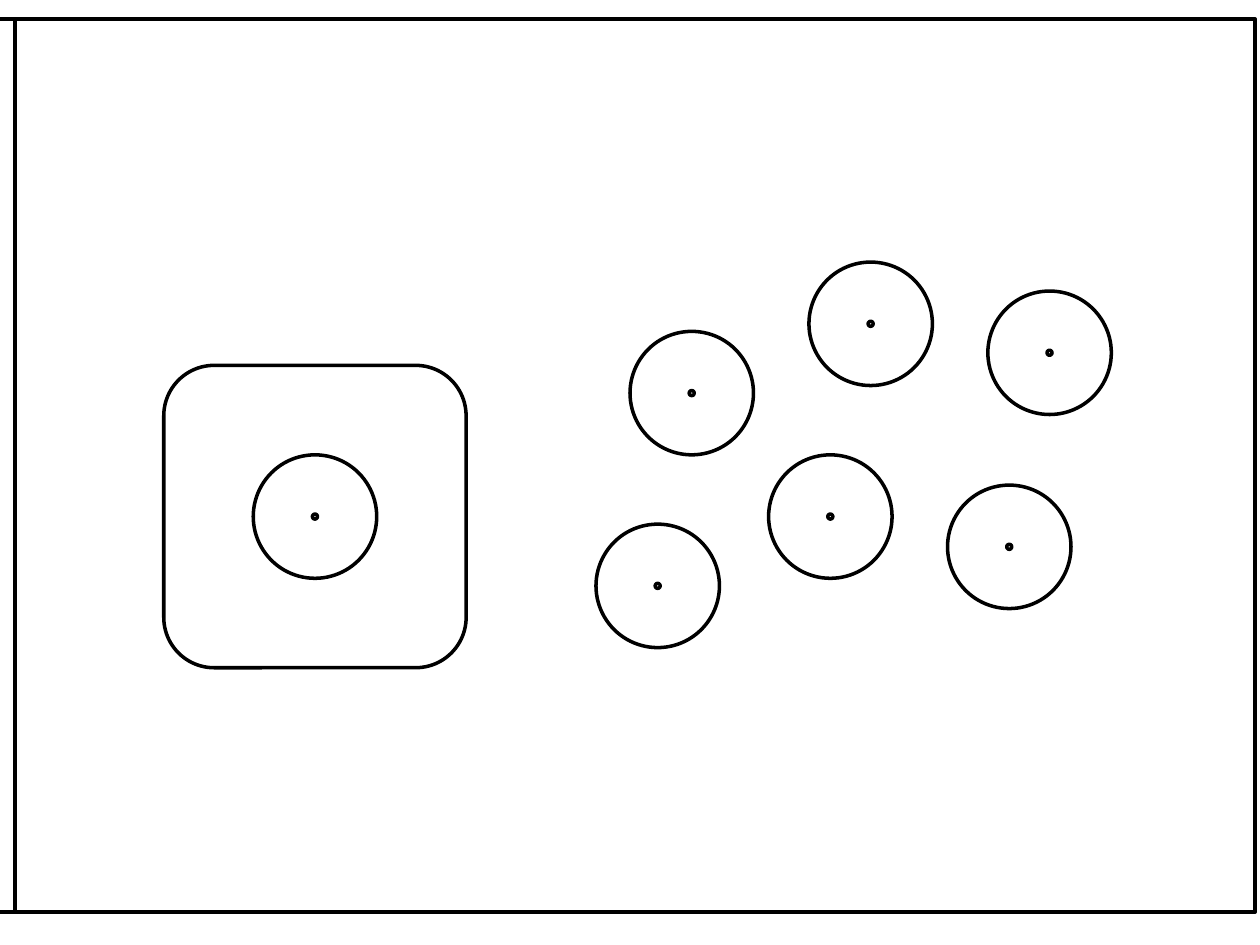
from pptx import Presentation
from pptx.dml.color import RGBColor
from pptx.enum.shapes import MSO_SHAPE as Shape
from pptx.util import Inches, Pt

BLACK = RGBColor(0x00, 0x00, 0x00)
WHITE = RGBColor(0xFF, 0xFF, 0xFF)

PANEL_LEFT, PANEL_TOP = 0.12, 0.15
PANEL_WIDTH, PANEL_HEIGHT = 9.84, 7.09
DISC_SIZE = 0.98
DOT_SIZE = 0.04
FRAME_SIZE = 2.4
FRAMED_CENTER = (2.5, 4.1)
CENTERS = [
    FRAMED_CENTER,
    (6.59, 4.1),
    (5.22, 4.65),
    (8.01, 4.34),
    (6.91, 2.57),
    (5.49, 3.12),
    (8.33, 2.8),
]


class Drawing:
    def __init__(self, page, line_color=BLACK, line_width=2):
        self.page = page
        self.line_color = line_color
        self.line_width = line_width

    def outline(self, shapes, kind, left, top, width, height, fill=None):
        shape = shapes.add_shape(
            kind, Inches(left), Inches(top), Inches(width), Inches(height)
        )
        shape.shadow.inherit = False
        shape.line.color.rgb = self.line_color
        shape.line.width = Pt(self.line_width)
        if fill is None:
            shape.fill.background()
        else:
            shape.fill.solid()
            shape.fill.fore_color.rgb = fill
        return shape

    def panel(self, left):
        return self.outline(
            self.page.shapes, Shape.RECTANGLE,
            left, PANEL_TOP, PANEL_WIDTH, PANEL_HEIGHT,
        )

    def group(self):
        return self.page.shapes.add_group_shape()

    def centered(self, group, kind, center, size, fill=None):
        x, y = center
        return self.outline(
            group.shapes, kind, x - size / 2, y - size / 2, size, size, fill
        )


def main():
    deck = Presentation()
    deck.slide_width = Inches(10)
    deck.slide_height = Inches(7.5)
    page = deck.slides.add_slide(deck.slide_layouts[6])
    drawing = Drawing(page)

    for left in (PANEL_LEFT - PANEL_WIDTH, PANEL_LEFT):
        drawing.panel(left)

    pattern = drawing.group()
    for size in (DISC_SIZE, DOT_SIZE):
        for center in CENTERS:
            drawing.centered(pattern, Shape.OVAL, center, size, WHITE)
    drawing.centered(pattern, Shape.ROUNDED_RECTANGLE, FRAMED_CENTER, FRAME_SIZE)

    deck.save("out.pptx")


if __name__ == "__main__":
    main()
